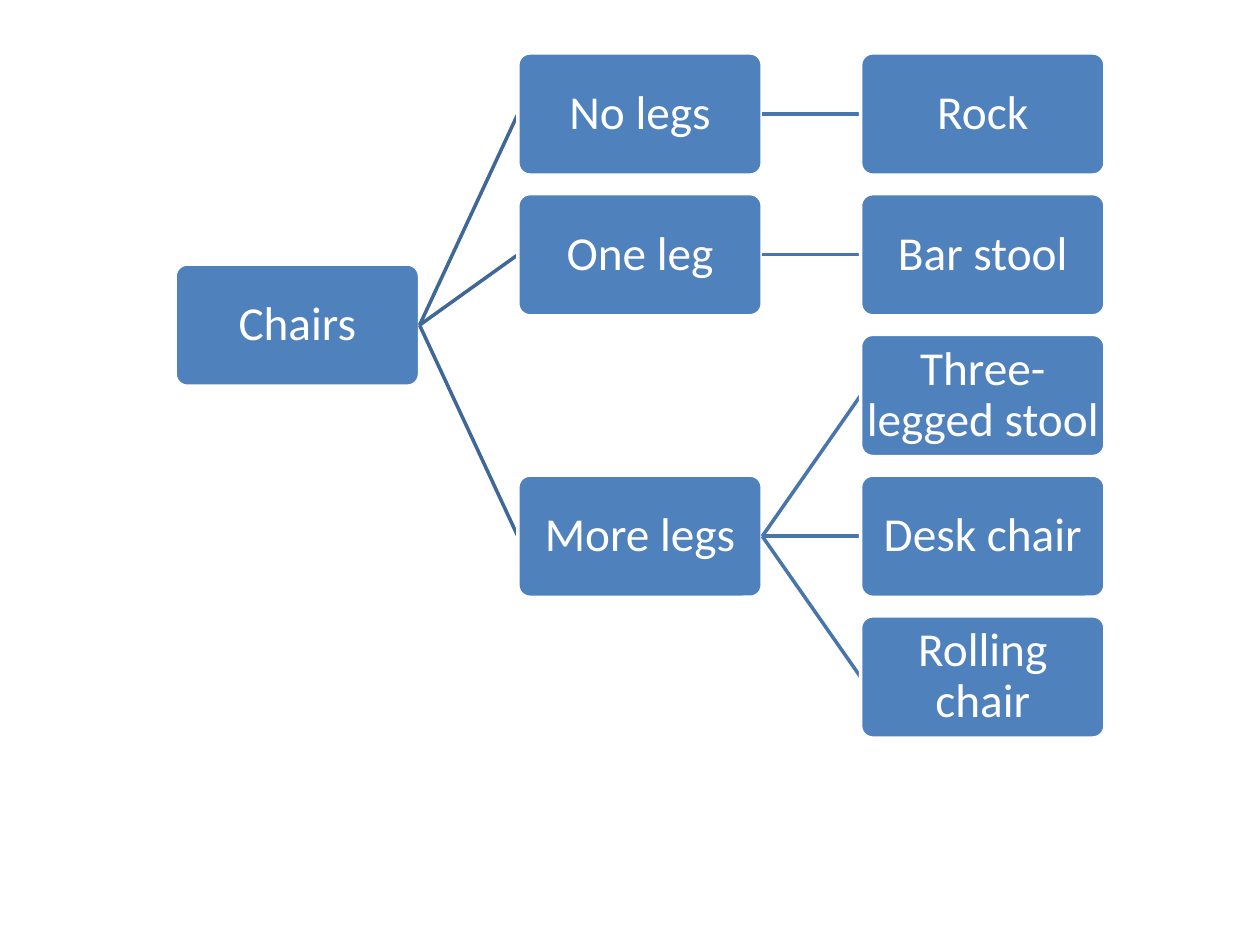
from lxml import etree
from pptx import Presentation
from pptx import util as u
from pptx.dml.color import RGBColor
from pptx.enum import shapes, text
from pptx.oxml.ns import qn

# Grid of the tree, in inches
LEFT, TOP = 1.39, 0.42
COLUMN_STEP, ROW_STEP = 2.72, 1.117
BOX_W, BOX_H = 1.94, 0.97
RIGHT_SITE, LEFT_SITE = 3, 1

BOX_FILL, WHITE = "4F81BD", "FFFFFF"
BRANCH_COLORS = ["3F6797", "4875AC"]  # by level of the parent

# Each node: label, children
CHAIRS = ("Chairs", [
    ("No legs", [("Rock", [])]),
    ("One leg", [("Bar stool", [])]),
    ("More legs", [("Three-legged stool", []),
                   ("Desk chair", []),
                   ("Rolling chair", [])]),
])


def color(hex_string):
    return RGBColor.from_string(hex_string)


def place_rows(node, next_row=0):
    """Return (label, row, children) and the next free row; leaves take one row each."""
    label, children = node
    if not children:
        return (label, next_row, []), next_row + 1
    placed = []
    for child in children:
        placed_child, next_row = place_rows(child, next_row)
        placed.append(placed_child)
    # A parent sits midway between its first and last child
    row = (placed[0][1] + placed[-1][1]) / 2
    return (label, row, placed), next_row


def add_box(slide, label, column, row):
    box = slide.shapes.add_shape(
        shapes.MSO_SHAPE.ROUNDED_RECTANGLE,
        u.Inches(LEFT + column * COLUMN_STEP), u.Inches(TOP + row * ROW_STEP),
        u.Inches(BOX_W), u.Inches(BOX_H))
    box.adjustments[0] = 0.1
    box.shadow.inherit = False
    box.fill.solid()
    box.fill.fore_color.rgb = color(BOX_FILL)
    box.line.color.rgb = color(WHITE)
    box.line.width = u.Pt(2)

    frame = box.text_frame
    frame.word_wrap = True
    frame.vertical_anchor = text.MSO_ANCHOR.MIDDLE
    frame.margin_left = frame.margin_right = u.Inches(0.02)
    frame.margin_top = frame.margin_bottom = u.Inches(0.02)
    paragraph = frame.paragraphs[0]
    paragraph.text = label
    paragraph.alignment = text.PP_ALIGN.CENTER
    paragraph.line_spacing = 0.9
    paragraph.font.name = "Calibri"
    paragraph.font.size = u.Pt(27)
    paragraph.font.color.rgb = color(WHITE)
    return box


def add_branch(slide, level):
    branch = slide.shapes.add_connector(shapes.MSO_CONNECTOR.STRAIGHT, 0, 0, 0, 0)
    branch.line.color.rgb = color(BRANCH_COLORS[level])
    branch.line.width = u.Pt(2)
    etree.SubElement(branch._element.spPr, qn("a:effectLst"))
    return branch


def add_children(slide, parent_box, children, level=0):
    for label, row, grandchildren in children:
        # The branch lies behind the child's white outline
        branch = add_branch(slide, level)
        child_box = add_box(slide, label, level + 1, row)
        branch.begin_connect(parent_box, RIGHT_SITE)
        branch.end_connect(child_box, LEFT_SITE)
        add_children(slide, child_box, grandchildren, level + 1)


def main():
    deck = Presentation()
    deck.slide_width, deck.slide_height = u.Inches(10), u.Inches(7.5)
    slide = deck.slides.add_slide(deck.slide_layouts[6])

    (label, row, children), _ = place_rows(CHAIRS)
    root_box = add_box(slide, label, 0, row)
    add_children(slide, root_box, children)

    deck.save("out.pptx")


if __name__ == "__main__":
    main()
